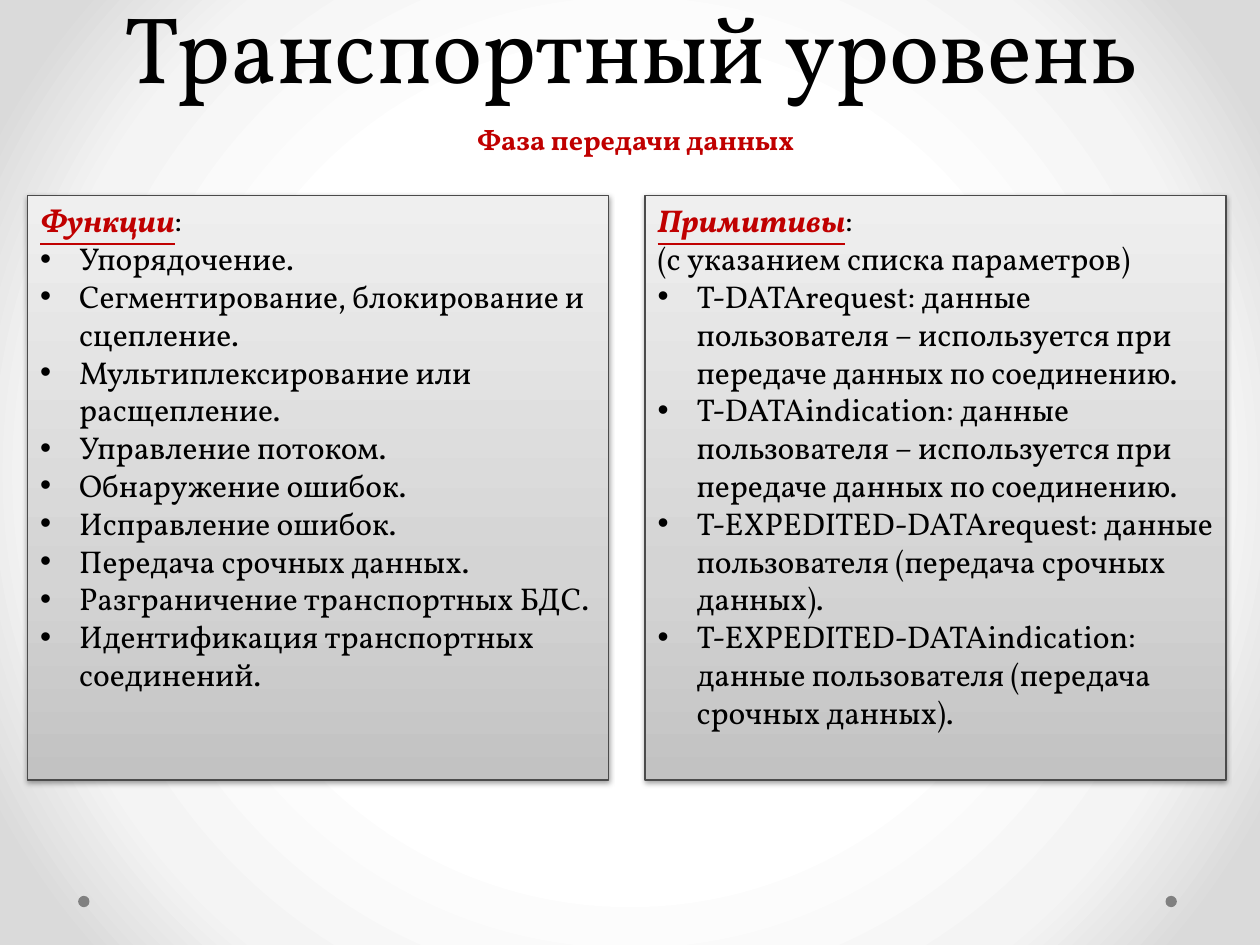
import pptx
import pptx.util
import pptx.oxml
import pptx.oxml.ns
from pptx.dml.color import RGBColor
from pptx.enum.shapes import MSO_SHAPE
from pptx.enum.text import MSO_ANCHOR, MSO_AUTO_SIZE, PP_ALIGN
from pptx.util import Inches

FONT = "Vollkorn"
BLACK = RGBColor(0x00, 0x00, 0x00)
RED = RGBColor(0xC0, 0x00, 0x00)
DOT_GRAY = RGBColor(0x80, 0x80, 0x80)
BORDER = RGBColor(0x4B, 0x4B, 0x4B)
PANEL_STOPS = [
    (0, RGBColor(0xC2, 0xC2, 0xC2)),
    (35, RGBColor(0xD4, 0xD4, 0xD4)),
    (100, RGBColor(0xEF, 0xEF, 0xEF)),
]
BACKGROUND_STOPS = [
    (50, RGBColor(0xFF, 0xFF, 0xFF)),
    (76, RGBColor(0xF4, 0xF4, 0xF4)),
    (92, RGBColor(0xDA, 0xDA, 0xDA)),
]
UPWARD = '<a:lin ang="16200000" scaled="0"/>'
RADIAL = ('<a:path path="circle"><a:fillToRect l="50000" t="50000" '
          'r="50000" b="50000"/></a:path>')
NS = pptx.oxml.ns.nsdecls("a")

FUNCTIONS = [
    "Упорядочение.",
    "Сегментирование, блокирование и сцепление.",
    "Мультиплексирование или расщепление.",
    "Управление потоком.",
    "Обнаружение ошибок.",
    "Исправление ошибок.",
    "Передача срочных данных.",
    "Разграничение транспортных БДС.",
    "Идентификация транспортных соединений.",
]
PRIMITIVES = [
    "T-DATArequest: данные пользователя – используется при передаче данных по соединению.",
    "T-DATAindication: данные пользователя – используется при передаче данных по соединению.",
    "T-EXPEDITED-DATArequest: данные пользователя (передача срочных данных).",
    "T-EXPEDITED-DATAindication: данные пользователя (передача срочных данных).",
]


def set_gradient(fill, owner, stops, direction):
    """Give the fill, stored directly in the XML element owner, a gradient."""
    fill.solid()
    gs = "".join(f'<a:gs pos="{pos * 1000}"><a:srgbClr val="{color}"/></a:gs>'
                 for pos, color in stops)
    gradient = pptx.oxml.parse_xml(
        f'<a:gradFill {NS} rotWithShape="1"><a:gsLst>{gs}</a:gsLst>{direction}</a:gradFill>')
    owner.replace(owner.find(pptx.oxml.ns.qn("a:solidFill")), gradient)


def add_shadow(sp):
    sp.shadow.inherit = False
    effects = sp._element.spPr.find(pptx.oxml.ns.qn("a:effectLst"))
    effects.append(pptx.oxml.parse_xml(
        f'<a:outerShdw {NS} blurRad="39370" dist="20320" dir="5400000" rotWithShape="0">'
        '<a:srgbClr val="000000"><a:alpha val="38000"/></a:srgbClr></a:outerShdw>'))


def add_run(p, text, size, color=BLACK, **formats):
    r = p.add_run()
    r.text = text
    r.font.color.rgb = color
    formats.update(name=FONT, size=pptx.util.Pt(size))
    for key, value in formats.items():
        setattr(r.font, key, value)


def make_bullet(p):
    pPr = p._p.get_or_add_pPr()
    indent = Inches(0.31)
    pPr.set("marL", str(indent))
    pPr.set("indent", str(-indent))
    for xml in (f'<a:buFont {NS} typeface="Arial"/>', f'<a:buChar {NS} char="•"/>'):
        pPr.append(pptx.oxml.parse_xml(xml))


def add_background(s):
    fill = s.background.fill
    fill.solid()
    owner = s.element.find(".//" + pptx.oxml.ns.qn("p:bgPr"))
    set_gradient(fill, owner, BACKGROUND_STOPS, RADIAL)


def add_dot(s, left, top, size):
    sp = s.shapes.add_shape(MSO_SHAPE.OVAL, left, top, size, size)
    sp.shadow.inherit = False
    sp.fill.solid()
    sp.fill.fore_color.rgb = DOT_GRAY
    sp.line.fill.background()


def set_title(s, text, left, top, width, height):
    sp = s.shapes.title
    sp.left, sp.top, sp.width, sp.height = left, top, width, height
    tf = sp.text_frame
    tf.auto_size = MSO_AUTO_SIZE.NONE
    tf.vertical_anchor = MSO_ANCHOR.BOTTOM
    p = tf.paragraphs[0]
    p.alignment = PP_ALIGN.CENTER
    p.line_spacing = pptx.util.Pt(58)
    add_run(p, text, 54)


def add_subtitle(s, text, left, top, width, height):
    tf = s.shapes.add_textbox(left, top, width, height).text_frame
    tf.word_wrap = True
    p = tf.paragraphs[0]
    p.alignment = PP_ALIGN.CENTER
    add_run(p, text, 16, RED, bold=True)


def add_panel(s, left, top, width, height, heading, items, note=None):
    sp = s.shapes.add_shape(MSO_SHAPE.RECTANGLE, left, top, width, height)
    set_gradient(sp.fill, sp._element.spPr, PANEL_STOPS, UPWARD)
    sp.line.color.rgb = BORDER
    sp.line.width = pptx.util.Pt(0.75)
    add_shadow(sp)

    tf = sp.text_frame
    tf.word_wrap = True
    tf.vertical_anchor = MSO_ANCHOR.TOP
    p = tf.paragraphs[0]
    add_run(p, heading, 18, RED, bold=True, italic=True, underline=True)
    add_run(p, ":", 18)
    if note:
        add_run(tf.add_paragraph(), note, 18)
    for item in items:
        p = tf.add_paragraph()
        make_bullet(p)
        add_run(p, item, 18)
    for p in tf.paragraphs:
        p.alignment = PP_ALIGN.LEFT


def main():
    prs = pptx.Presentation()
    prs.slide_width, prs.slide_height = Inches(10), Inches(7.5)
    s = prs.slides.add_slide(prs.slide_layouts[5])
    add_background(s)
    for left in (9.25, 0.62):
        add_dot(s, Inches(left), Inches(7.11), Inches(0.09))
    set_title(s, "Транспортный уровень",
              Inches(0.51), Inches(0), Inches(9), Inches(0.86))
    add_subtitle(s, "Фаза передачи данных",
                 Inches(0.2), Inches(0.92), Inches(9.69), Inches(0.37))
    top, width, height = Inches(1.55), Inches(4.61), Inches(4.64)
    add_panel(s, Inches(0.22), top, width, height, "Функции", FUNCTIONS)
    add_panel(s, Inches(5.12), top, width, height, "Примитивы", PRIMITIVES,
              note="(с указанием списка параметров)")
    prs.save("out.pptx")


if __name__ == "__main__":
    main()
